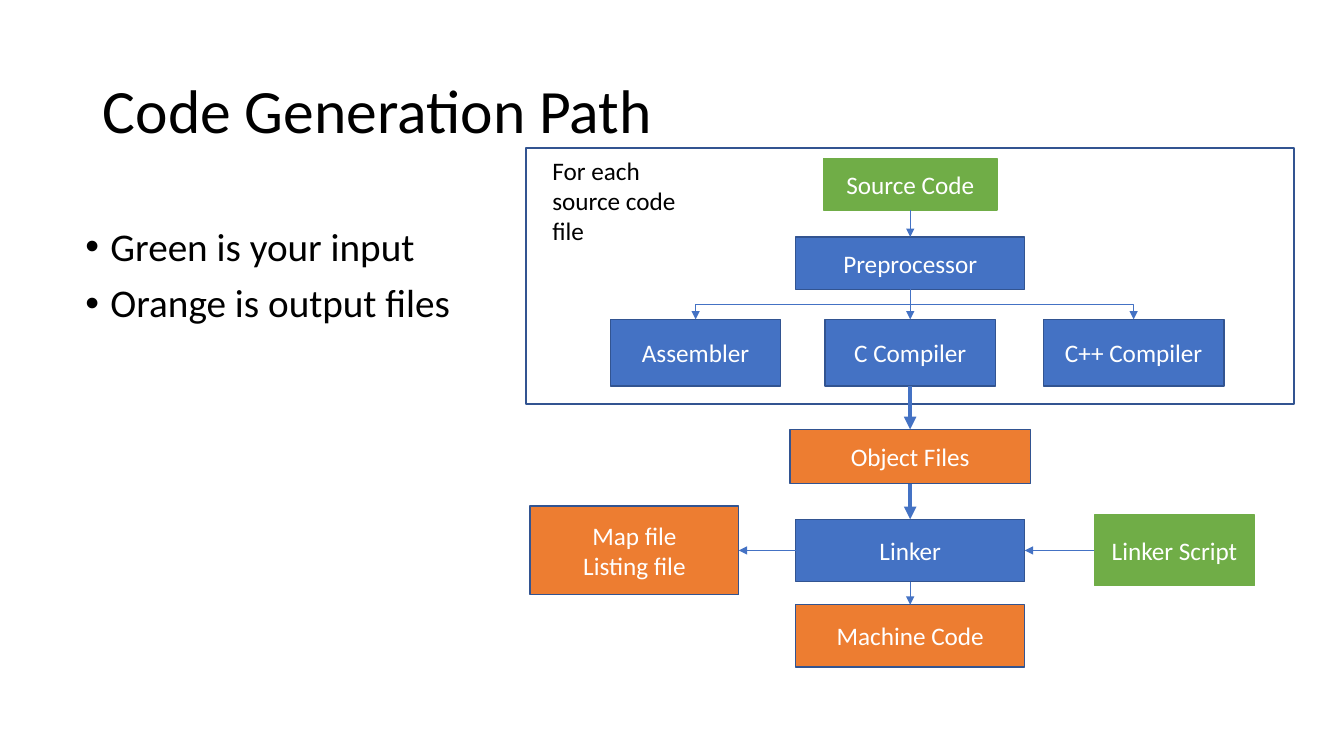
from lxml.etree import SubElement
from pptx import Presentation
from pptx.dml.color import RGBColor
from pptx.enum.shapes import MSO_CONNECTOR as Connector, MSO_SHAPE as Preset
from pptx.enum.text import MSO_ANCHOR as Anchor, PP_ALIGN as Align
from pptx.oxml.ns import qn
from pptx.util import Cm, Pt

WHITE, BLACK = "FFFFFF", "000000"
BLUE, NAVY, GREEN, ORANGE = "4472C4", "325491", "70AD47", "ED7D31"
TOP, LEFT, BOTTOM, RIGHT = range(4)
SPINE = 22.94
LINK_ROW = 13.87


def color(value):
    return RGBColor.from_string(value)


def write(frame, text, size=18, ink=BLACK, font="Calibri", align=Align.LEFT,
          anchor=Anchor.TOP, spacing=1.0, before=0, bullet=None):
    frame.word_wrap = True
    frame.vertical_anchor = anchor
    frame.text = text
    for paragraph in frame.paragraphs:
        paragraph.alignment = align
        paragraph.line_spacing = spacing
        paragraph.space_before = Pt(before)
        paragraph.font.size = Pt(size)
        paragraph.font.name = font
        paragraph.font.color.rgb = color(ink)
        if bullet:
            properties = paragraph._p.get_or_add_pPr()
            properties.set("marL", str(Cm(0.635)))
            properties.set("indent", str(Cm(-0.635)))
            mark_font = properties.makeelement(qn("a:buFont"), {"typeface": "Arial"})
            mark = properties.makeelement(qn("a:buChar"), {"char": bullet})
            properties.find(qn("a:defRPr")).addprevious(mark_font)
            mark_font.addnext(mark)


class Diagram:
    def __init__(self, slide):
        self.slide = slide

    def label(self, text, left, top, width, height, **style):
        box = self.slide.shapes.add_textbox(Cm(left), Cm(top), Cm(width), Cm(height))
        write(box.text_frame, text, **style)

    def box(self, left, top, width, height, fill=BLUE, outline=NAVY, weight=1):
        shape = self.slide.shapes.add_shape(
            Preset.RECTANGLE, Cm(left), Cm(top), Cm(width), Cm(height))
        shape.shadow.inherit = False
        shape.fill.solid()
        shape.fill.fore_color.rgb = color(fill)
        shape.line.color.rgb = color(outline)
        shape.line.width = Pt(weight)
        return shape

    def node(self, text, center, top, width, height, **look):
        shape = self.box(center - width / 2, top, width, height, **look)
        write(shape.text_frame, text, ink=WHITE, align=Align.CENTER, anchor=Anchor.MIDDLE)
        return shape

    def arrow(self, source, target, sites=(BOTTOM, TOP), weight=0.5):
        connector = self.slide.shapes.add_connector(Connector.ELBOW, 0, 0, 0, 0)
        connector.begin_connect(source, sites[0])
        connector.end_connect(target, sites[1])
        if sites == (BOTTOM, TOP):
            self.turn_down(connector)
        connector.line.color.rgb = color(BLUE)
        connector.line.width = Pt(weight)
        line = connector.line._get_or_add_ln()
        SubElement(line, qn("a:tailEnd"), type="triangle")
        SubElement(connector.element.spPr, qn("a:effectLst"))

    def turn_down(self, connector):
        across = connector.end_x - connector.begin_x
        down = connector.end_y - connector.begin_y
        middle_x = (connector.begin_x + connector.end_x) // 2
        middle_y = (connector.begin_y + connector.end_y) // 2
        connector.width, connector.height = down, abs(across)
        connector.left = middle_x - down // 2
        connector.top = middle_y - abs(across) // 2
        transform = connector.element.spPr.xfrm
        transform.flipH = across >= 0
        transform.flipV = False
        transform.set("rot", str((270 if across >= 0 else 90) * 60000))


def main():
    presentation = Presentation()
    presentation.slide_width, presentation.slide_height = Cm(33.87), Cm(19.05)
    diagram = Diagram(presentation.slides.add_slide(presentation.slide_layouts[6]))

    diagram.box(13.26, 3.73, 19.35, 6.45, fill=WHITE, weight=1.5)
    diagram.label("Code Generation Path", 2.34, 1.02, 29.21, 3.68,
                  size=44, anchor=Anchor.MIDDLE, spacing=0.9)
    diagram.label("Green is your input\nOrange is output files", 1.9, 5.61, 10.64, 12.09,
                  size=28, spacing=0.9, before=10, bullet="•")
    diagram.label("For each source code file", 13.67, 3.78, 4.27, 2.57)

    given = {"fill": GREEN, "outline": GREEN}
    source = diagram.node("Source Code", SPINE, 3.99, 4.37, 1.3, **given)
    preprocessor = diagram.node("Preprocessor", SPINE, 5.97, 5.77, 1.32)
    assembler, c_compiler, cpp_compiler = [
        diagram.node(text, center, 8.05, width, 1.68)
        for text, center, width in (("Assembler", 17.53, 4.29),
                                    ("C Compiler", SPINE, 4.29),
                                    ("C++ Compiler", 28.57, 4.55))]
    objects = diagram.node("Object Files", SPINE, 10.82, 6.07, 1.37, fill=ORANGE)
    listing, linker, script = [
        diagram.node(text, center, LINK_ROW - height / 2, width, height, **look)
        for text, center, width, height, look in (
            ("Map file\nListing file", 15.99, 5.26, 2.24, {"fill": ORANGE}),
            ("Linker", SPINE, 5.77, 1.57, {}),
            ("Linker Script", 29.6, 4.04, 1.78, given))]
    machine = diagram.node("Machine Code", SPINE, 15.24, 5.77, 1.57, fill=ORANGE)

    diagram.arrow(source, preprocessor)
    for compiler in (assembler, c_compiler, cpp_compiler):
        diagram.arrow(preprocessor, compiler)
    diagram.arrow(c_compiler, objects, weight=3)
    diagram.arrow(objects, linker, weight=3)
    diagram.arrow(linker, machine)
    diagram.arrow(script, linker, sites=(LEFT, RIGHT))
    diagram.arrow(linker, listing, sites=(LEFT, RIGHT))

    presentation.save("out.pptx")


if __name__ == "__main__":
    main()
